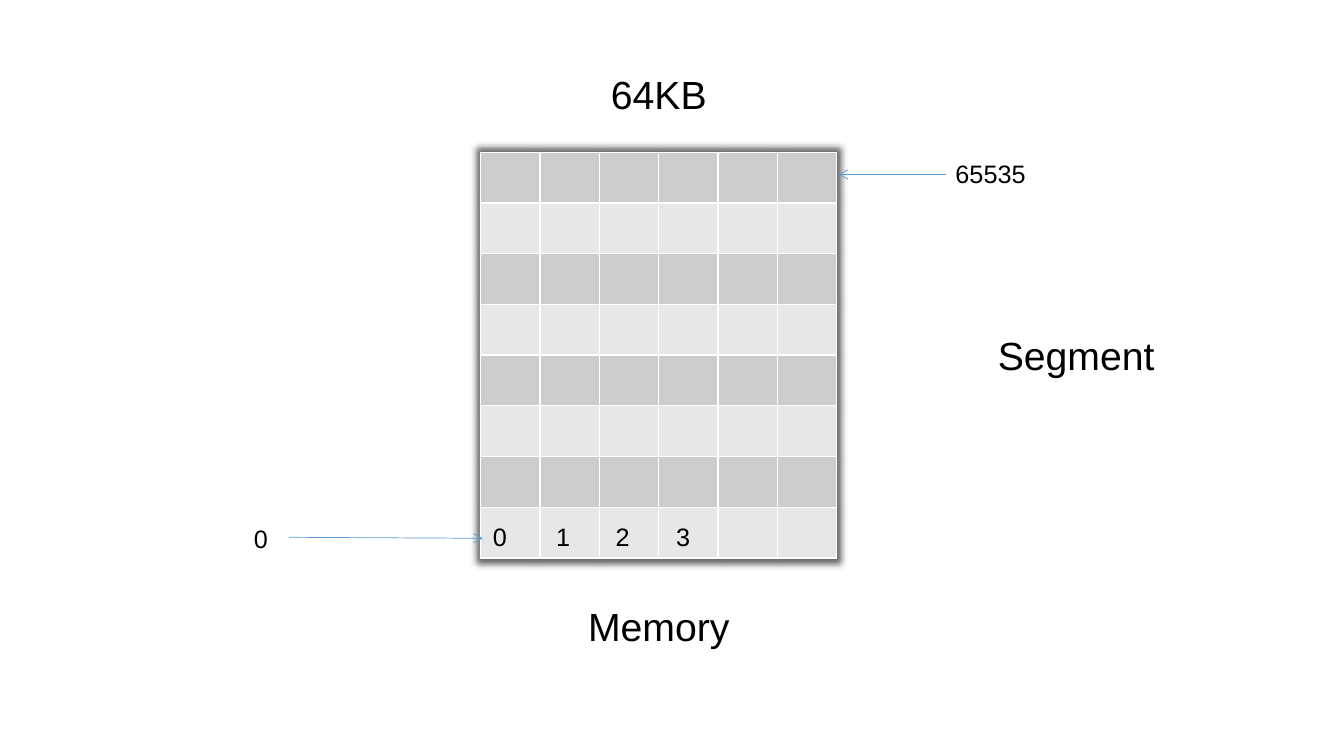
"""Build the slide that shows a 64KB memory segment as a grid of cells."""
from lxml import etree
from pptx import Presentation
from pptx.dml.color import RGBColor
from pptx.enum.shapes import MSO_CONNECTOR
from pptx.enum.text import MSO_AUTO_SIZE, PP_ALIGN
from pptx.oxml import parse_xml
from pptx.oxml.ns import nsdecls, qn
from pptx.util import Pt

LINE = MSO_CONNECTOR.STRAIGHT
GROW = MSO_AUTO_SIZE.SHAPE_TO_FIT_TEXT
LEFT, MID = PP_ALIGN.LEFT, PP_ALIGN.CENTER
BLACK = RGBColor(0x00, 0x00, 0x00)
BLUE = RGBColor(0x5B, 0x9B, 0xD5)
WHITE = RGBColor(0xFF, 0xFF, 0xFF)
BANDS = (RGBColor(0xCC, 0xCC, 0xCC), RGBColor(0xE7, 0xE7, 0xE7))
FONT = "Arial"

ROWS, COLS = 8, 6
GRID_X, GRID_Y = 343.4, 108.7
CELL_W, CELL_H = 42.4, 36.25

HEADS = [("64KB", 377.3, 46.8), ("Memory", 377.3, 427), ("Segment", 675.4, 233.3)]
MARKS = [("0", 174.2, 370, 32.4), ("65535", 675.4, 109.4, 70.6)]
BYTES = [("0", 344.9), ("1", 390.2), ("2", 432.7), ("3", 475.9)]
BYTE_Y = 368.6
ARROWS = [(206.6, 383.8, 344.9, 384.5), (675.4, 124.6, 599, 124.6)]


def add_text(slide, text, x, y, w, h, size, align=LEFT):
    """Add one line of black text."""
    box = slide.shapes.add_textbox(Pt(x), Pt(y), Pt(w), Pt(h))
    frame = box.text_frame
    frame.word_wrap = True
    frame.auto_size = GROW
    frame.text = text
    para = frame.paragraphs[0]
    para.alignment = align
    font = para.runs[0].font
    font.name, font.size = FONT, Pt(size)
    font.color.rgb = BLACK


def add_arrow(slide, x1, y1, x2, y2):
    """Add a thin line with an open head at its end."""
    line = slide.shapes.add_connector(LINE, Pt(x1), Pt(y1), Pt(x2), Pt(y2))
    line.line.color.rgb = BLUE
    line.line.width = Pt(0.5)
    etree.SubElement(line.line._get_or_add_ln(), qn("a:tailEnd"), type="arrow")
    etree.SubElement(line._element.spPr, qn("a:effectLst"))


def add_edges(cell):
    """Draw a white border on all four sides of a cell."""
    props = cell._tc.get_or_add_tcPr()
    for spot, side in enumerate("LRTB"):
        props.insert(spot, parse_xml(
            f'<a:ln{side} {nsdecls("a")} w="{Pt(1)}"><a:solidFill>'
            f'<a:srgbClr val="{WHITE}"/></a:solidFill></a:ln{side}>'))


def add_grid(slide):
    """Add the banded memory table with a soft shadow."""
    frame = slide.shapes.add_table(ROWS, COLS, Pt(GRID_X), Pt(GRID_Y),
                                   Pt(COLS * CELL_W), Pt(ROWS * CELL_H))
    table = frame.table
    for col in table.columns:
        col.width = Pt(CELL_W)
    for num, row in enumerate(table.rows):
        row.height = Pt(CELL_H)
        for cell in row.cells:
            cell.fill.solid()
            cell.fill.fore_color.rgb = BANDS[num % 2]
            add_edges(cell)
    table._tbl.tblPr.insert(0, parse_xml(
        f'<a:effectLst {nsdecls("a")}><a:outerShdw blurRad="{Pt(5)}" '
        'sx="102000" sy="102000" algn="ctr" rotWithShape="0">'
        f'<a:srgbClr val="{BLACK}"><a:alpha val="60000"/></a:srgbClr>'
        '</a:outerShdw></a:effectLst>'))


deck = Presentation()
deck.slide_width, deck.slide_height = Pt(960), Pt(540)
slide = deck.slides.add_slide(deck.slide_layouts[6])

add_grid(slide)
for text, x, y in HEADS:
    add_text(slide, text, x, y, 186.5, 41, 28, MID)
for text, x, y, w in MARKS:
    add_text(slide, text, x, y, w, 29, 18)
for text, x in BYTES:
    add_text(slide, text, x, BYTE_Y, 32.4, 29, 18)
for ends in ARROWS:
    add_arrow(slide, *ends)

deck.save("out.pptx")
